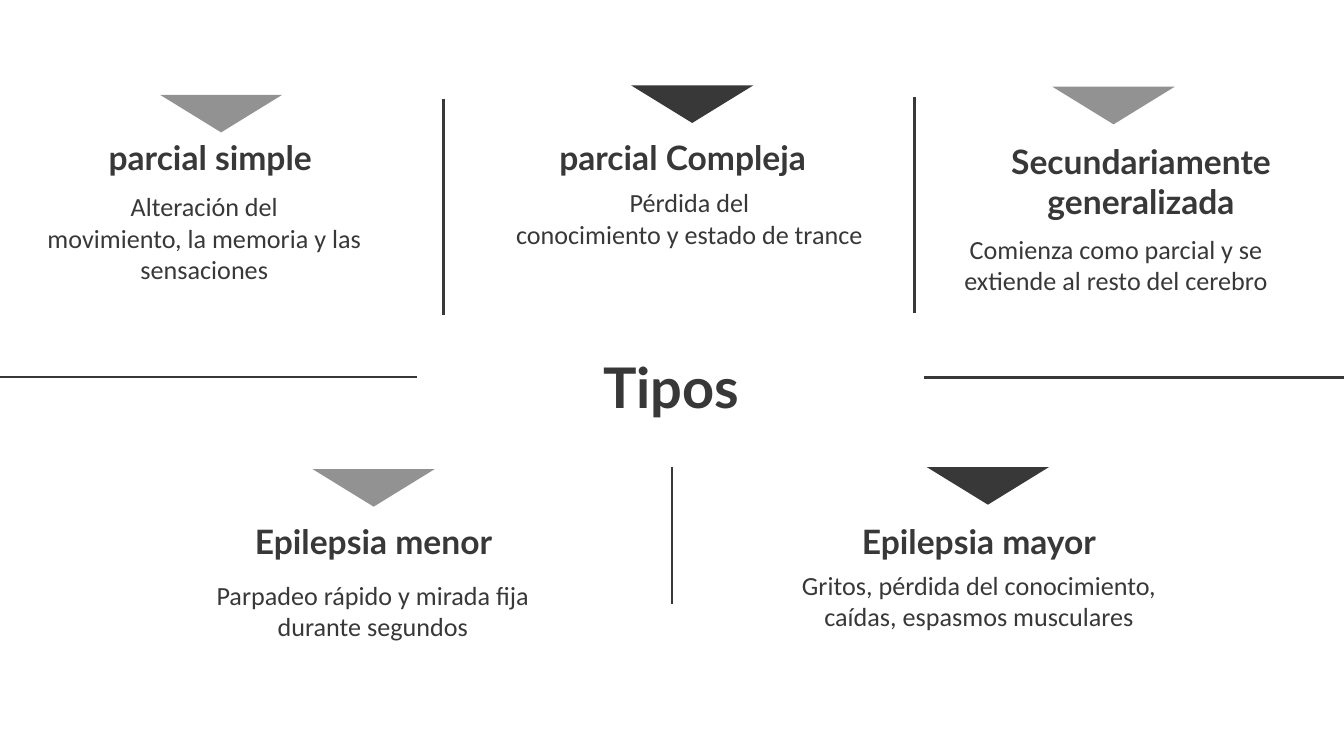
from lxml import etree
from pptx import Presentation
from pptx.dml.color import RGBColor
from pptx.enum.shapes import MSO_CONNECTOR, MSO_SHAPE
from pptx.enum.text import MSO_ANCHOR, MSO_AUTO_SIZE, PP_ALIGN
from pptx.oxml.ns import qn
from pptx.util import Pt

PX = 4572
PADDING = 20 * PX
DARK = RGBColor(0x38, 0x38, 0x38)
GREY = RGBColor(0x92, 0x92, 0x92)
CENTER = PP_ALIGN.CENTER
TOP, MIDDLE = MSO_ANCHOR.TOP, MSO_ANCHOR.MIDDLE
NO_AUTOFIT = MSO_AUTO_SIZE.NONE
STRAIGHT = MSO_CONNECTOR.STRAIGHT
TRIANGLE = MSO_SHAPE.ISOSCELES_TRIANGLE


def write(holder, box, text, font, size, bold, anchor):
    holder.left, holder.top, holder.width, holder.height = [n * PX for n in box]
    frame = holder.text_frame
    frame.text = text
    frame.word_wrap = True
    frame.auto_size = NO_AUTOFIT
    frame.vertical_anchor = anchor
    frame.margin_left = frame.margin_right = PADDING
    frame.margin_top = frame.margin_bottom = PADDING
    for paragraph in frame.paragraphs:
        paragraph.alignment = CENTER
        paragraph.line_spacing = 1.0
        paragraph.space_before = Pt(0)
        properties = paragraph._p.get_or_add_pPr()
        properties.set("marL", "0")
        properties.set("indent", "0")
        etree.SubElement(properties, qn("a:buNone"))
        for run in paragraph.runs:
            run.font.name = font
            run.font.size = Pt(size)
            run.font.bold = bold
            run.font.color.rgb = DARK


prs = Presentation()
prs.slide_width, prs.slide_height = 2000 * PX, 1125 * PX
slide = prs.slides.add_slide(prs.slide_layouts.get_by_name("Comparison"))
shapes = slide.shapes
title, minor_name, minor_signs, major_name, major_signs = slide.placeholders

write(title, (302, 505, 1394, 116), "Tipos", "Lato", 30, True, TOP)

seizures = [
    (minor_name, (306, 768, 500, 74), "Epilepsia menor",
     minor_signs, (256, 842, 598, 176),
     "Parpadeo rápido y mirada fija durante segundos", (465, 698), GREY),
    (major_name, (1222, 768, 470, 74), "Epilepsia mayor",
     major_signs, (1158, 827, 598, 176),
     "Gritos, pérdida del conocimiento, caídas, espasmos musculares",
     (1379, 695), DARK),
    (None, (70, 197, 486, 74), "parcial simple",
     None, (35, 264, 538, 176),
     "Alteración del\nmovimiento, la memoria y las sensaciones", (238, 141), GREY),
    (None, (1420, 233, 556, 74), "Secundariamente generalizada",
     None, (1362, 327, 598, 258),
     "Comienza como parcial y se extiende al resto del cerebro", (1566, 129), GREY),
    (None, (773, 197, 486, 74), "parcial Compleja",
     None, (731, 258, 590, 176),
     "Pérdida del\nconocimiento y estado de trance", (939, 127), DARK),
]
for name, name_box, kind, signs, signs_box, symptoms, (x, y), color in seizures:
    name = name or shapes.add_textbox(0, 0, 0, 0)
    write(name, name_box, kind, "Lato", 18, True, MIDDLE)
    signs = signs or shapes.add_textbox(0, 0, 0, 0)
    write(signs, signs_box, symptoms, "Calibri", 14, False, TOP)
    marker = shapes.add_shape(TRIANGLE, x * PX, y * PX, 182 * PX, 56 * PX)
    marker.rotation = 180
    marker.shadow.inherit = False
    marker.fill.solid()
    marker.fill.fore_color.rgb = color
    marker.line.fill.background()

dividers = [
    (0, 561, 620, 561),
    (1375, 562, 2000, 562),
    (1000, 695, 1000, 899),
    (660, 147, 660, 469),
    (1361, 144, 1361, 466),
]
for ends in dividers:
    divider = shapes.add_connector(STRAIGHT, *[n * PX for n in ends])
    divider.line.color.rgb = DARK
    divider.line.width = Pt(1.5)
    etree.SubElement(divider._element.spPr, qn("a:effectLst"))

prs.save("out.pptx")
